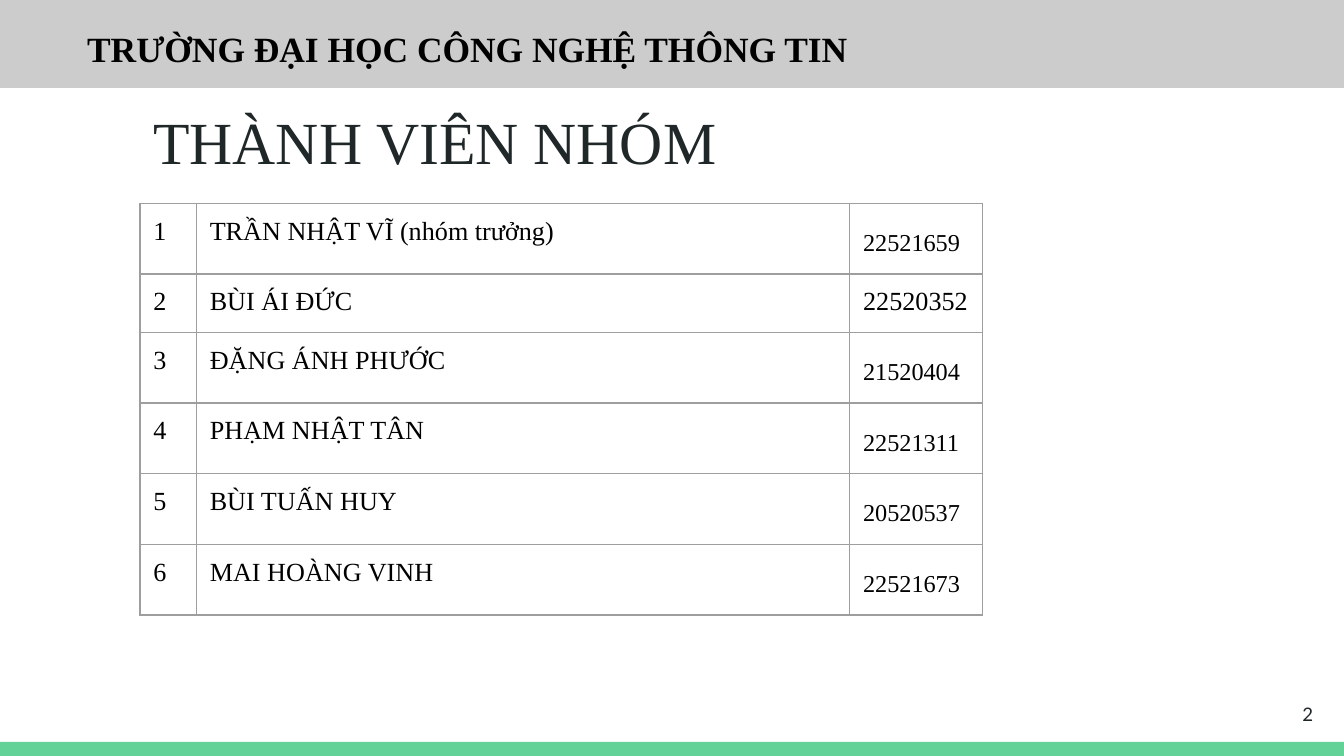
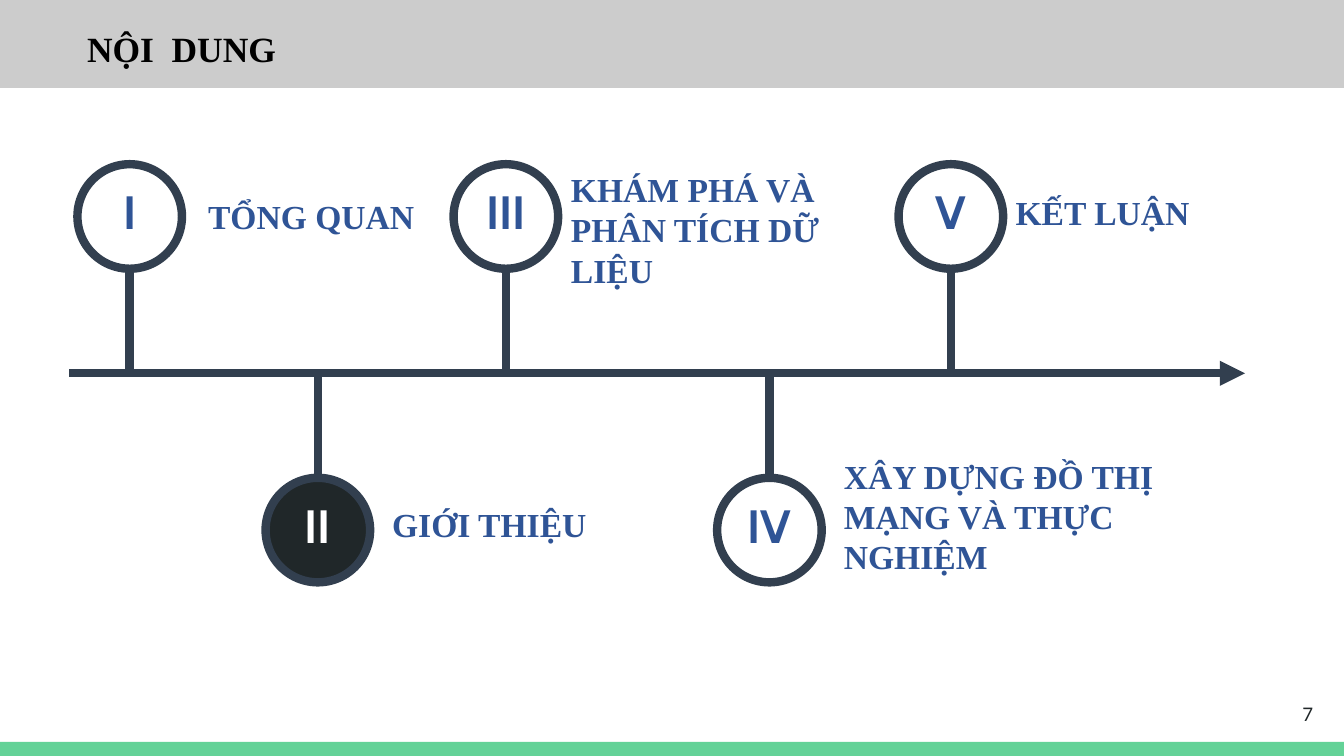
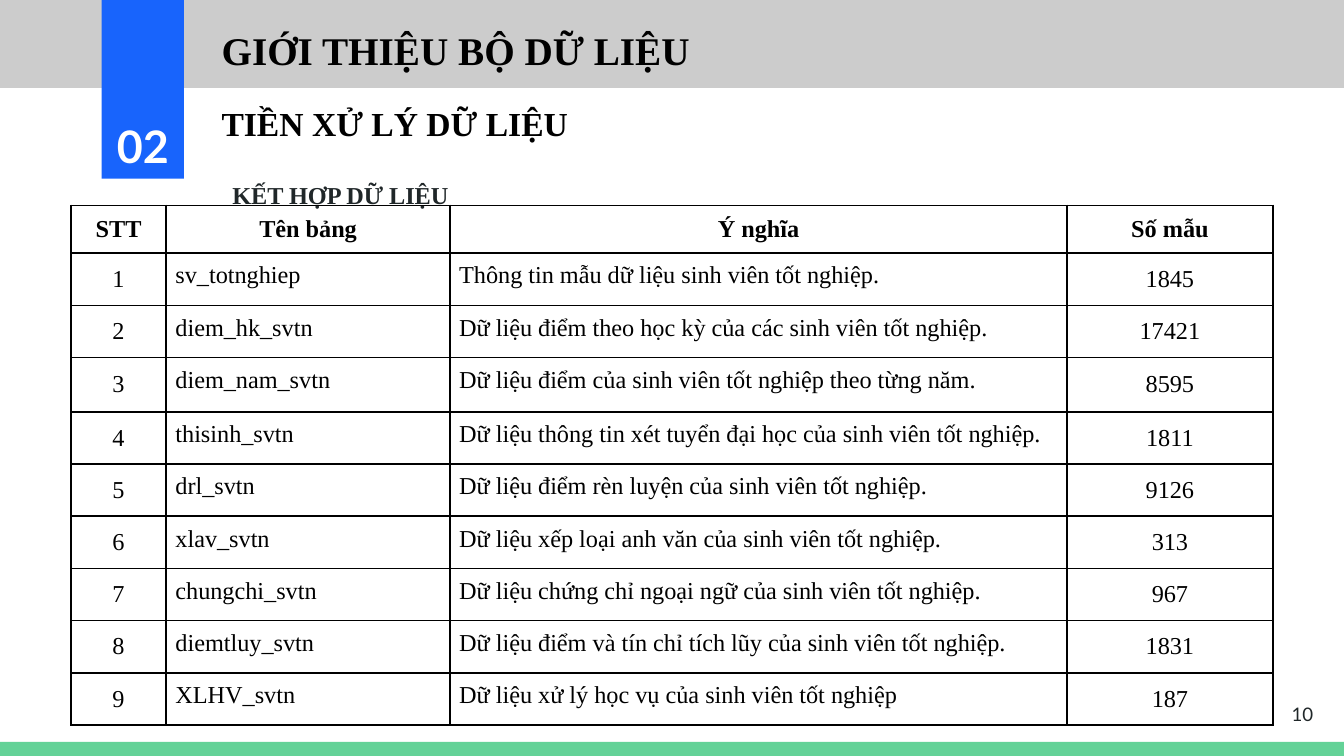
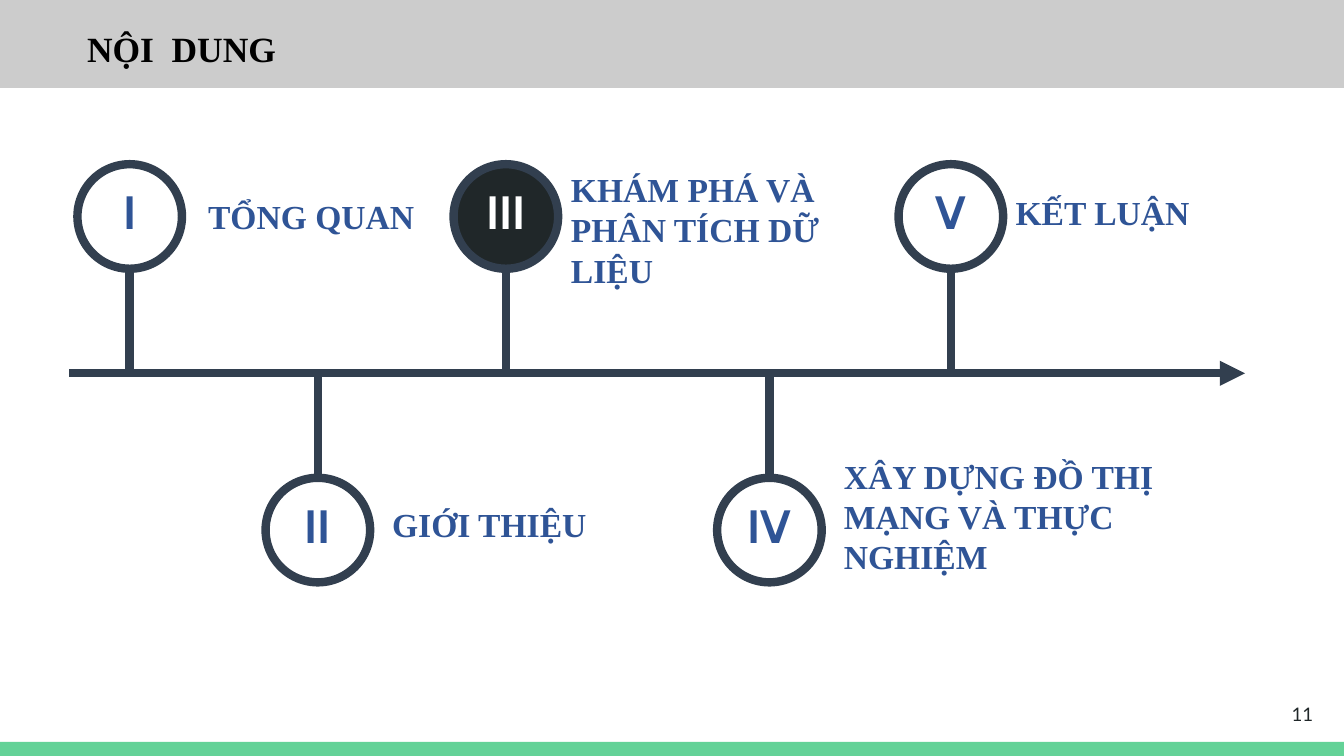
from lxml import etree
from pptx import Presentation
from pptx.dml.color import RGBColor
from pptx.enum.shapes import MSO_CONNECTOR, MSO_SHAPE
from pptx.enum.text import MSO_ANCHOR, MSO_AUTO_SIZE, PP_ALIGN
from pptx.oxml.ns import qn
from pptx.util import Pt

RECTANGLE, OVAL = MSO_SHAPE.RECTANGLE, MSO_SHAPE.OVAL
STRAIGHT = MSO_CONNECTOR.STRAIGHT
TOP, MIDDLE, BOTTOM = MSO_ANCHOR.TOP, MSO_ANCHOR.MIDDLE, MSO_ANCHOR.BOTTOM
LEFT, CENTER, RIGHT, JUSTIFY = PP_ALIGN.LEFT, PP_ALIGN.CENTER, PP_ALIGN.RIGHT, PP_ALIGN.JUSTIFY
GROW = MSO_AUTO_SIZE.SHAPE_TO_FIT_TEXT

COLORS = {
    "white": "FFFFFF",
    "black": "000000",
    "ink": "202729",
    "band": "CCCCCC",
    "footer": "63D297",
    "badge": "1864FC",
    "axis": "323F4F",
    "label": "2F5496",
    "grid": "9E9E9E",
}
SERIF, SANS, NUMERAL = "Times New Roman", "Lato", "Cabin"
WIDTH, HEIGHT = 720, 405
AXIS_WEIGHT = 4.5
CIRCLE = 56

MEMBERS = [
    ("TRẦN NHẬT VĨ (nhóm trưởng)", "22521659"),
    ("BÙI ÁI ĐỨC", "22520352"),
    ("ĐẶNG ÁNH PHƯỚC", "21520404"),
    ("PHẠM NHẬT TÂN", "22521311"),
    ("BÙI TUẤN HUY", "20520537"),
    ("MAI HOÀNG VINH", "22521673"),
]
UNSPACED_MEMBER = 1

DATASET_HEADINGS = ("STT", "Tên bảng", "Ý nghĩa", "Số mẫu")
DATASETS = [
    ("sv_totnghiep", "Thông tin mẫu dữ liệu sinh viên tốt nghiệp.", "1845"),
    ("diem_hk_svtn", "Dữ liệu điểm theo học kỳ của các sinh viên tốt nghiệp.", "17421"),
    ("diem_nam_svtn", "Dữ liệu điểm của sinh viên tốt nghiệp theo từng năm.", "8595"),
    ("thisinh_svtn", "Dữ liệu thông tin xét tuyển đại học của sinh viên tốt nghiệp.", "1811"),
    ("drl_svtn", "Dữ liệu điểm rèn luyện của sinh viên tốt nghiệp.", "9126"),
    ("xlav_svtn", "Dữ liệu xếp loại anh văn của sinh viên tốt nghiệp.", "313"),
    ("chungchi_svtn", "Dữ liệu chứng chỉ ngoại ngữ của sinh viên tốt nghiệp.", "967"),
    ("diemtluy_svtn", "Dữ liệu điểm và tín chỉ tích lũy của sinh viên tốt nghiệp.", "1831"),
    ("XLHV_svtn", "Dữ liệu xử lý học vụ của sinh viên tốt nghiệp", "187"),
]

STATIONS = [
    ("I", 32.5, "TỔNG QUAN", (67.4, 13.5, 132, 29)),
    ("II", 133.3, "GIỚI THIỆU", (166, 178.4, 199.4, 29)),
    ("III", 234, "KHÁM PHÁ VÀ PHÂN TÍCH DỮ LIỆU", (261.8, -1, 152.6, 73)),
    ("IV", 375.2, "XÂY DỰNG ĐỒ THỊ MẠNG VÀ THỰC NGHIỆM", (408, 152.5, 199.4, 73)),
    ("V", 472.4, "KẾT LUẬN", (500, 11.4, 152.6, 29)),
]


def rgb(name):
    return RGBColor.from_string(COLORS[name])


def points(values):
    return [Pt(value) for value in values]


def write(frame, text, size, color="black", font=SERIF, bold=False, align=LEFT, spacing=None):
    para = frame.paragraphs[0]
    para.alignment = align
    if spacing:
        para.line_spacing = spacing
    span = para.add_run()
    span.text = text
    span.font.size = Pt(size)
    span.font.name = font
    span.font.bold = bold
    span.font.color.rgb = rgb(color)


def set_frame(frame, anchor=TOP, inset=3.6):
    frame.word_wrap = True
    frame.vertical_anchor = anchor
    frame.margin_left = frame.margin_right = Pt(7.2)
    frame.margin_top = frame.margin_bottom = Pt(inset)


def add_text(page, box, text, size, anchor=TOP, inset=3.6, grow=False, **style):
    frame = page.shapes.add_textbox(*points(box)).text_frame
    set_frame(frame, anchor, inset)
    if grow:
        frame.auto_size = GROW
    write(frame, text, size, **style)


def add_filled(page, kind, box, fill, outline=None):
    shape = page.shapes.add_shape(kind, *points(box))
    shape.shadow.inherit = False
    shape.fill.solid()
    shape.fill.fore_color.rgb = rgb(fill)
    if outline:
        shape.line.color.rgb = rgb(outline)
        shape.line.width = Pt(AXIS_WEIGHT)
    else:
        shape.line.fill.background()
    return shape


def add_line(page, start, end, arrow=False):
    line = page.shapes.add_connector(STRAIGHT, *points(start + end))
    line.line.color.rgb = rgb("axis")
    line.line.width = Pt(AXIS_WEIGHT)
    properties = line._element.spPr
    if arrow:
        etree.SubElement(properties.find(qn("a:ln")), qn("a:tailEnd"), type="triangle")
    etree.SubElement(properties, qn("a:effectLst"))


def add_grid(page, box, columns, rows, inset, border, weight):
    frame = page.shapes.add_table(len(rows), len(columns), *points(box))
    table = frame.table
    table.first_row = table.horz_banding = False
    for column, width in zip(table.columns, columns):
        column.width = Pt(width)
    for row, height in zip(table.rows, rows):
        row.height = Pt(height)
    for cell in table.iter_cells():
        properties = cell._tc.get_or_add_tcPr()
        for side in ("lnL", "lnR", "lnT", "lnB"):
            edge = etree.SubElement(properties, qn(f"a:{side}"), w=str(Pt(weight)))
            fill = etree.SubElement(edge, qn("a:solidFill"))
            etree.SubElement(fill, qn("a:srgbClr"), val=COLORS[border])
        cell.fill.background()
        cell.margin_left = cell.margin_right = Pt(inset)
        cell.margin_top = cell.margin_bottom = Pt(inset)
    return table


def add_page(deck, heading, number, heading_box=(39.6, 10.8, 435.6, 30), size=19):
    page = deck.slides.add_slide(deck.slide_layouts[6])
    page.background.fill.solid()
    page.background.fill.fore_color.rgb = rgb("white")
    add_filled(page, RECTANGLE, (0, 397.5, WIDTH, 7.5), "footer")
    add_filled(page, RECTANGLE, (0, -2, WIDTH, 49.2), "band")
    add_text(page, heading_box, heading, size, grow=True, bold=True)
    add_text(page, (667.4, 367.2, 43.2, 31), str(number), 10, anchor=MIDDLE,
             inset=7.2, color="ink", font=SANS, align=RIGHT)
    return page


def add_member_table(page, box):
    table = add_grid(page, box, (30.2, 350, 71), [30] * len(MEMBERS), 7.2, "grid", 0.75)
    for index, (name, code) in enumerate(MEMBERS):
        write(table.cell(index, 0).text_frame, str(index + 1), 14)
        write(table.cell(index, 1).text_frame, name, 14)
        size, spacing = (14, None) if index == UNSPACED_MEMBER else (13, 1.5)
        write(table.cell(index, 2).text_frame, code, size, spacing=spacing)


def add_dataset_table(page, box):
    heights = [8, 28, 28, 29] + [28] * 6
    table = add_grid(page, box, (51, 152, 330.6, 110.3), heights, 5, "black", 1)
    records = [DATASET_HEADINGS]
    records += [(str(index), *record) for index, record in enumerate(DATASETS, 1)]
    for row, record in enumerate(records):
        for column, text in enumerate(record):
            cell = table.cell(row, column)
            centered = row == 0 or column in (0, 3)
            cell.vertical_anchor = MIDDLE if centered else TOP
            write(cell.text_frame, text, 13, bold=row == 0, align=CENTER if centered else LEFT)


def add_timeline(page, box, current):
    left, top, width, height = box
    axis = top + height / 2
    add_line(page, (left, axis), (left + width, axis), arrow=True)
    for index, (numeral, offset, label, label_box) in enumerate(STATIONS):
        center = left + offset
        above = index % 2 == 0
        circle_top = top if above else top + height - CIRCLE
        stem = circle_top + CIRCLE if above else circle_top
        active = numeral == current
        add_line(page, (center, stem), (center, axis))
        circle = add_filled(page, OVAL, (center - CIRCLE / 2, circle_top, CIRCLE, CIRCLE),
                            "ink" if active else "white", "axis")
        set_frame(circle.text_frame, MIDDLE)
        write(circle.text_frame, numeral, 25, "white" if active else "label",
              NUMERAL, True, CENTER, 0.8)
        x, y, label_width, label_height = label_box
        add_text(page, (left + x, top + y, label_width, label_height), label, 18,
                 grow=True, color="label", bold=True)


def build_members(deck):
    page = add_page(deck, "TRƯỜNG ĐẠI HỌC CÔNG NGHỆ THÔNG TIN", 2)
    add_text(page, (75, 49, 645, 45.4), "THÀNH VIÊN NHÓM", 32, inset=7.2, color="ink")
    add_member_table(page, (75, 109, 451.2, 180))


def build_contents(deck, number, current):
    page = add_page(deck, "NỘI  DUNG", number)
    add_timeline(page, (37, 88, 630, 224), current)


def build_datasets(deck):
    page = add_page(deck, "GIỚI THIỆU BỘ DỮ LIỆU", 10, (111.6, 10.8, 435.6, 32.4), 21)
    add_text(page, (117.4, 81.4, 661, 100), "KẾT HỢP DỮ LIỆU", 13, inset=7.2,
             color="ink", bold=True, align=JUSTIFY, spacing=1.5)
    badge = add_filled(page, RECTANGLE, (54.5, -2, 44, 97.8), "badge")
    set_frame(badge.text_frame, BOTTOM)
    write(badge.text_frame, "02", 24, "white", SANS, True, CENTER)
    add_text(page, (111.6, 51.8, 347, 29), "TIỀN XỬ LÝ DỮ LIỆU", 18, grow=True, bold=True)
    add_dataset_table(page, (38, 110, 643.9, 261))


def main():
    deck = Presentation()
    deck.slide_width, deck.slide_height = Pt(WIDTH), Pt(HEIGHT)
    build_members(deck)
    build_contents(deck, 7, "II")
    build_datasets(deck)
    build_contents(deck, 11, "III")
    deck.save("out.pptx")


if __name__ == "__main__":
    main()
